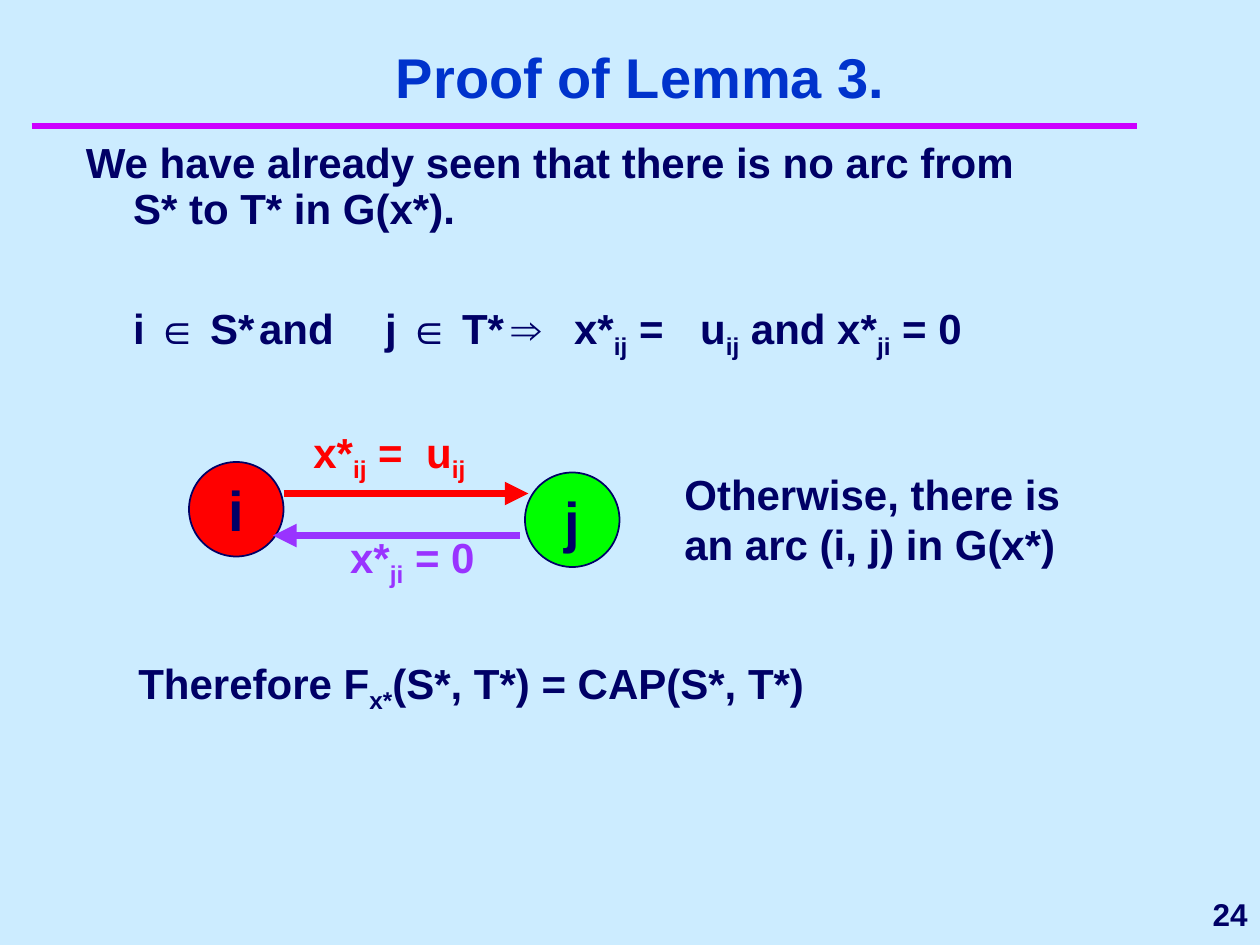
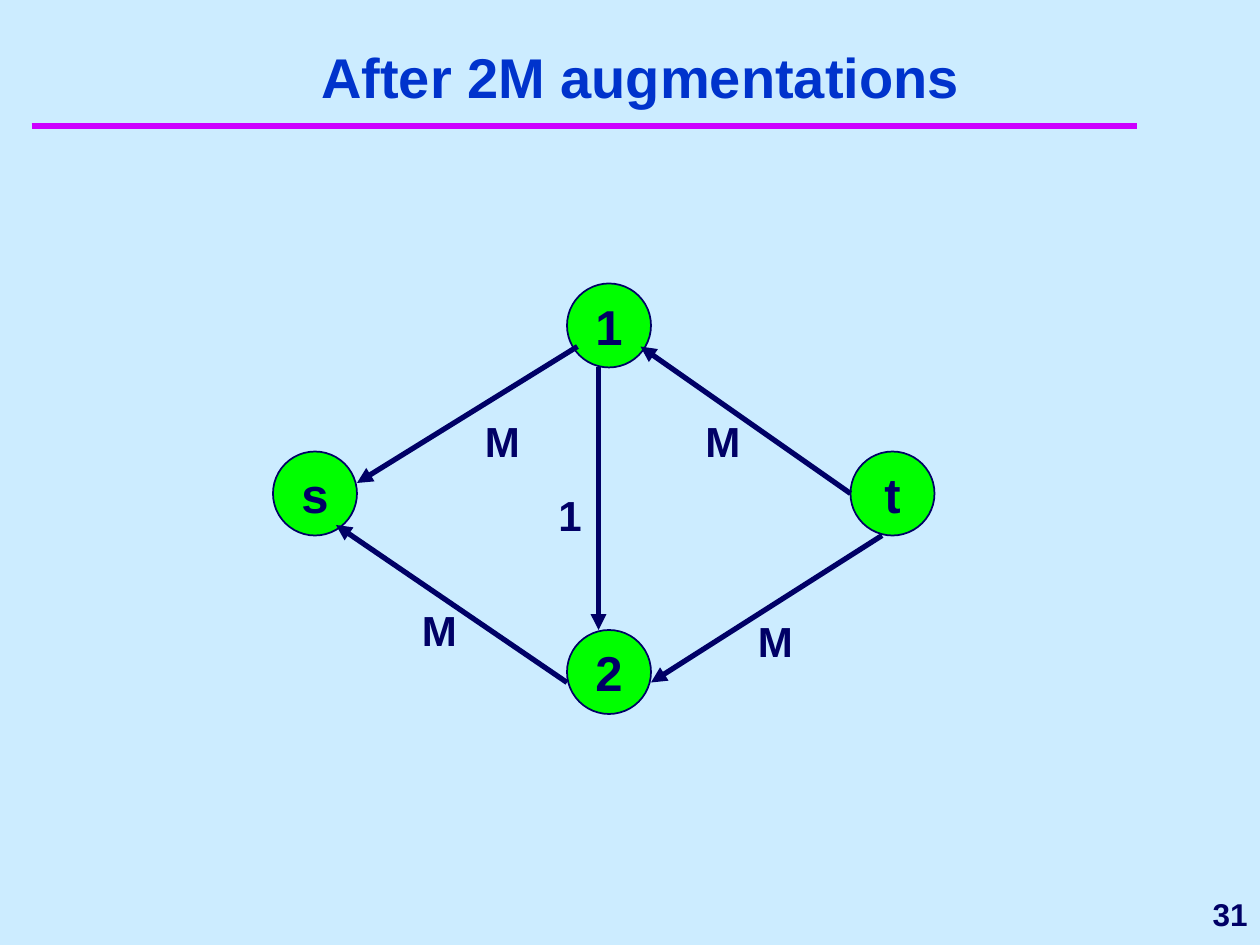
"""Builds two lecture slides on the max-flow min-cut proof and augmenting paths."""
from lxml import etree
from pptx import Presentation
from pptx import util as u
from pptx.dml.color import RGBColor
from pptx.enum import shapes, text
from pptx.oxml import ns

NAVY, BLUE, SKY, MAGENTA = "000066", "0033CC", "CCECFF", "CC00FF"
RED, GREEN, PURPLE = "FF0000", "00FF00", "9933FF"
FONT = "Arial"
LEFT, CENTER, RIGHT = text.PP_ALIGN.LEFT, text.PP_ALIGN.CENTER, text.PP_ALIGN.RIGHT
TOP, MIDDLE, BOTTOM = text.MSO_ANCHOR.TOP, text.MSO_ANCHOR.MIDDLE, text.MSO_ANCHOR.BOTTOM

# Text between bars is set as a subscript.
PROOF = {
    "title": "Proof of Lemma 3.",
    "number": "24",
    "claim": ["We have already seen that there is no arc from\vS* to T* in G(x*).",
              "i ∈ S*\tand\tj ∈ T*\t⇒\tx*|ij| =\tu|ij| and x*|ji| = 0"],
    "claim_tabs": [83, 152.5, 247, 302, 366],
    "nodes": [("i", 108, 264, RED), ("j", 300, 270, GREEN)],
    "arcs": [("x*|ij| =\tu|ij|", (172, 240, 130, 40), RED, (162, 282), (302, 282)),
             ("x*|ji| = 0", (193, 300, 90, 40), PURPLE, (297, 306), (156, 306))],
    "arc_tabs": [64.5],
    "remarks": [("Otherwise, there is an arc (i, j) in G(x*)", (384, 264, 258, 65)),
                ("Therefore F|x*|(S*, T*) = CAP(S*, T*)", (72, 372, 462, 40))],
}
NETWORK = {
    "title": "After 2M augmentations",
    "number": "31",
    "nodes": [("s", 156, 258), ("1", 324, 162), ("2", 324, 360), ("t", 486, 258)],
    "arcs": [("M", (426, 348), (504, 306), (372, 390)),
             ("M", (270, 234), (330, 198), (204, 276)),
             ("M", (234, 342), (324, 390), (192, 300)),
             ("M", (396, 234), (486, 282), (366, 198)),
             ("1", (312, 276), (342, 210), (342, 360))],
}


def rgb(color):
    return RGBColor.from_string(color)


def write(paragraph, content, size, color, align=LEFT, tabs=()):
    paragraph.alignment = align
    font = paragraph.font
    font.name, font.size, font.bold = FONT, u.Pt(size), True
    font.color.rgb = rgb(color)
    for part, piece in enumerate(content.split("|")):
        for row, words in enumerate(piece.split("\v")):
            if row:
                paragraph.add_line_break()
            run = paragraph.add_run()
            run.text = words
            if part % 2:
                run.font._element.set("baseline", "-25000")
    if tabs:
        stops = etree.Element(ns.qn("a:tabLst"))
        for position in tabs:
            etree.SubElement(stops, ns.qn("a:tab"), pos=str(u.Pt(position)), algn="l")
        paragraph._p.get_or_add_pPr().find(ns.qn("a:defRPr")).addprevious(stops)


def add_text(slide, paragraphs, box, size=24, color=NAVY, align=LEFT, anchor=TOP, tabs=()):
    frame = slide.shapes.add_textbox(*map(u.Pt, box)).text_frame
    frame.word_wrap, frame.vertical_anchor = True, anchor
    for index, content in enumerate(paragraphs):
        paragraph = frame.add_paragraph() if index else frame.paragraphs[0]
        write(paragraph, content, size, color, align, tabs if "\t" in content else ())
    return frame


def add_line(slide, start, end, color, width, arrow=True):
    line = slide.shapes.add_connector(shapes.MSO_CONNECTOR.STRAIGHT, *map(u.Pt, start + end))
    line.line.color.rgb, line.line.width = rgb(color), u.Pt(width)
    if arrow:
        etree.SubElement(line.line._get_or_add_ln(), ns.qn("a:tailEnd"), type="triangle")
    etree.SubElement(line._element.spPr, ns.qn("a:effectLst"))


def add_node(slide, label, left, top, diameter, size, color=GREEN):
    node = slide.shapes.add_shape(shapes.MSO_SHAPE.OVAL,
                                  *map(u.Pt, (left, top, diameter, diameter)))
    node.shadow.inherit = False
    node.fill.solid()
    node.fill.fore_color.rgb = rgb(color)
    node.line.color.rgb, node.line.width = rgb(NAVY), u.Pt(1)
    frame = node.text_frame
    frame.word_wrap, frame.vertical_anchor = False, MIDDLE
    write(frame.paragraphs[0], label, size, NAVY, CENTER)


def add_slide(prs, content):
    slide = prs.slides.add_slide(prs.slide_layouts[6])
    slide.background.fill.solid()
    slide.background.fill.fore_color.rgb = rgb(SKY)
    add_line(slide, (18, 72), (650, 72), MAGENTA, 4, arrow=False)
    add_text(slide, [content["number"]], (582, 504, 138, 36), 18, align=RIGHT, anchor=MIDDLE)
    add_text(slide, [content["title"]], (30, 24, 672, 42), 32, BLUE, CENTER, BOTTOM)
    return slide


def build_proof(prs):
    slide = add_slide(prs, PROOF)
    claim = add_text(slide, PROOF["claim"], (42, 78, 606, 144), tabs=PROOF["claim_tabs"])
    for paragraph, indent in zip(claim.paragraphs, (-27, 0)):
        paragraph.line_spacing = 0.9
        properties = paragraph._p.get_or_add_pPr()
        properties.set("marL", str(u.Pt(27)))
        properties.set("indent", str(u.Pt(indent)))
    claim.paragraphs[1].space_before = u.Pt(40)
    for label, left, top, color in PROOF["nodes"]:
        add_node(slide, label, left, top, 54, 32, color)
    for label, box, color, start, end in PROOF["arcs"]:
        add_line(slide, start, end, color, 4.5)
        add_text(slide, [label], box, color=color, tabs=PROOF["arc_tabs"])
    for remark, box in PROOF["remarks"]:
        add_text(slide, [remark], box)


def build_network(prs):
    slide = add_slide(prs, NETWORK)
    for label, left, top in NETWORK["nodes"]:
        add_node(slide, label, left, top, 48, 28)
    for label, corner, start, end in NETWORK["arcs"]:
        add_line(slide, start, end, NAVY, 3)
        add_text(slide, [label], corner + (42, 36))


def main():
    prs = Presentation()
    prs.slide_width, prs.slide_height = u.Pt(720), u.Pt(540)
    build_proof(prs)
    build_network(prs)
    prs.save("out.pptx")


if __name__ == "__main__":
    main()
